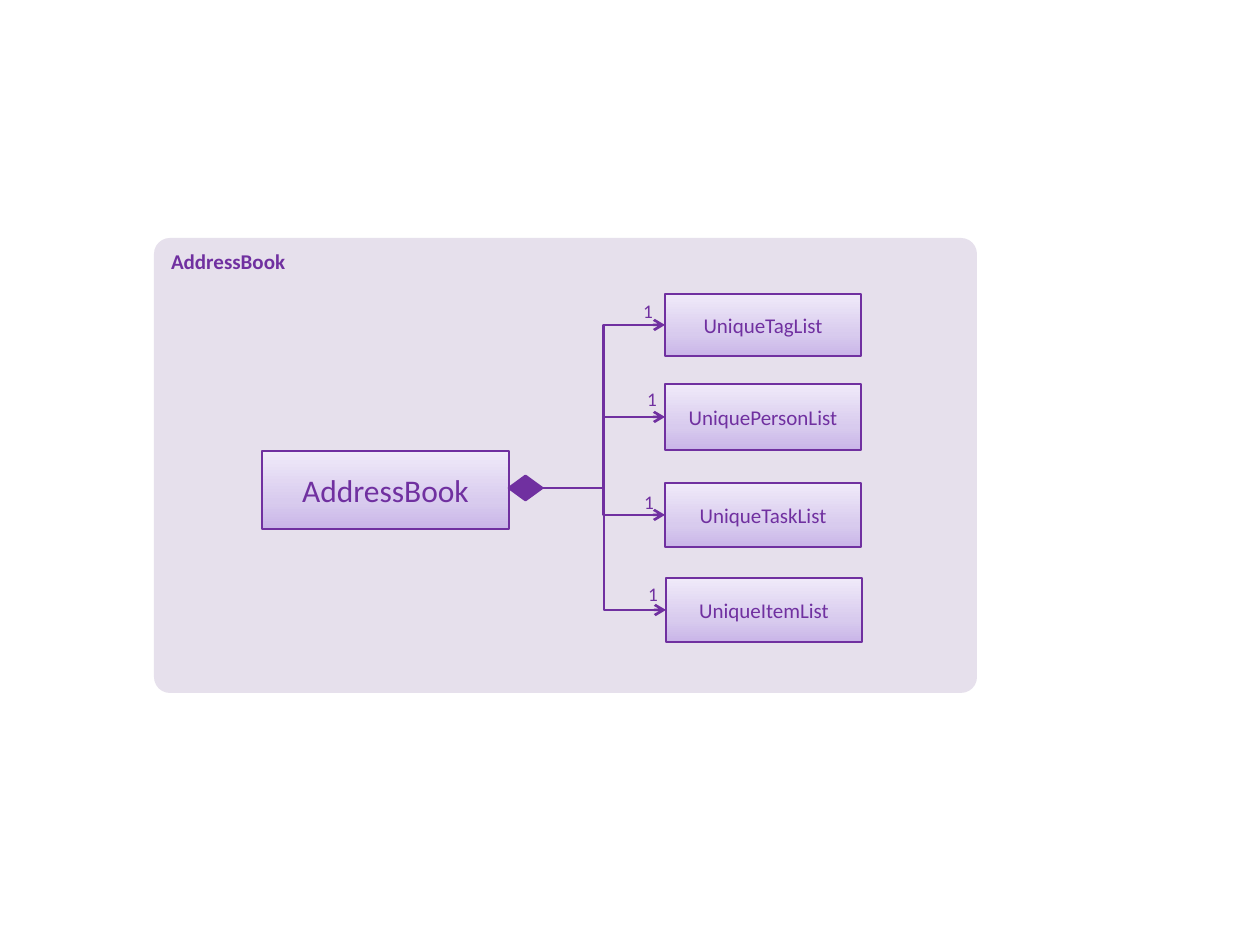
from copy import deepcopy

from pptx import Presentation
from pptx.dml.color import RGBColor
from pptx.enum.shapes import MSO_CONNECTOR, MSO_SHAPE
from pptx.enum.text import MSO_ANCHOR, PP_ALIGN
from pptx.oxml.ns import qn
from pptx.oxml.xmlchemy import OxmlElement
from pptx.util import Pt

SCALE = 914400 / 126
PURPLE = RGBColor(0x70, 0x30, 0xA0)
PALE = RGBColor(0xE6, 0xE0, 0xEC)
SHADES = [
    (0, RGBColor(0xC9, 0xB5, 0xE8)),
    (0.35, RGBColor(0xD8, 0xCB, 0xEE)),
    (1, RGBColor(0xF0, 0xEA, 0xF9)),
]

# name, left, top, height, then the offset of its "1" from the class box
LISTS = [
    ("UniqueTagList", 511, 56, 62, -30, 5),
    ("UniquePersonList", 511, 146, 66, -26, 3),
    ("UniqueTaskList", 511, 245, 64, -29, 7),
    ("UniqueItemList", 512, 340, 64, -26, 4),
]


def px(*nums):
    return [round(num * SCALE) for num in nums]


def write(shape, text, size, bold=False, align=PP_ALIGN.CENTER, anchor=MSO_ANCHOR.MIDDLE):
    frame = shape.text_frame
    frame.word_wrap = True
    frame.vertical_anchor = anchor
    para = frame.paragraphs[0]
    para.text = text
    para.alignment = align
    para.font.color.rgb = PURPLE
    form = {"name": "Calibri", "size": Pt(size), "bold": bold}
    for key, value in form.items():
        setattr(para.font, key, value)


def add_solid(slide, kind, box, color):
    shape = slide.shapes.add_shape(kind, *px(*box))
    shape.shadow.inherit = False
    shape.fill.solid()
    shape.fill.fore_color.rgb = color
    return shape


def outline(line):
    line.color.rgb = PURPLE
    line.width = Pt(1.5)


def shade(shape):
    """Fill with the three-stop gradient, darkest at the bottom."""
    fill = shape.fill
    fill.gradient()
    fill.gradient_angle = 90
    stops = shape._element.spPr.find(".//" + qn("a:gsLst"))
    stops.insert(1, deepcopy(stops[0]))
    for stop, (place, color) in zip(fill.gradient_stops, SHADES):
        stop.position = place
        stop.color.rgb = color


def add_class(slide, box, name, size):
    shape = add_solid(slide, MSO_SHAPE.RECTANGLE, box, PALE)
    shade(shape)
    outline(shape.line)
    write(shape, name, size)
    return shape


def add_count(slide, left, top):
    label = slide.shapes.add_textbox(*px(left, top, 26, 25))
    frame = label.text_frame
    for side in ("left", "top", "right", "bottom"):
        setattr(frame, "margin_" + side, 0)
    write(label, "1", 11, anchor=MSO_ANCHOR.TOP)


def link(slide, start, end):
    """Draw an elbow arrow from the right of start to the left of end."""
    wire = slide.shapes.add_connector(MSO_CONNECTOR.ELBOW, 0, 0, 0, 0)
    wire.begin_connect(start, 3)
    wire.end_connect(end, 1)
    outline(wire.line)
    tip = OxmlElement("a:tailEnd")
    tip.set("type", "arrow")
    wire.line._get_or_add_ln().append(tip)
    wire._element.spPr.append(OxmlElement("a:effectLst"))


def add_model(slide, box):
    left, top = box[:2]
    panel = add_solid(slide, MSO_SHAPE.ROUNDED_RECTANGLE, box, PALE)
    panel.adjustments[0] = 0.035
    panel.line.fill.background()
    write(panel, "AddressBook", 12, True, PP_ALIGN.LEFT, MSO_ANCHOR.TOP)

    add_class(slide, (left + 108, top + 213, 247, 78), "AddressBook", 18)
    knot = add_solid(slide, MSO_SHAPE.FLOWCHART_DECISION,
                     (left + 355, top + 238, 33, 24), PURPLE)
    outline(knot.line)
    for name, x, y, high, dx, dy in LISTS:
        x, y = left + x, top + y
        part = add_class(slide, (x, y, 196, high), name, 12)
        link(slide, knot, part)
        add_count(slide, x + dx, y + dy)


def main():
    deck = Presentation()
    deck.slide_width, deck.slide_height = px(1260, 945)
    slide = deck.slides.add_slide(deck.slide_layouts[6])
    add_model(slide, (154, 238, 823, 455))
    deck.save("out.pptx")


if __name__ == "__main__":
    main()
